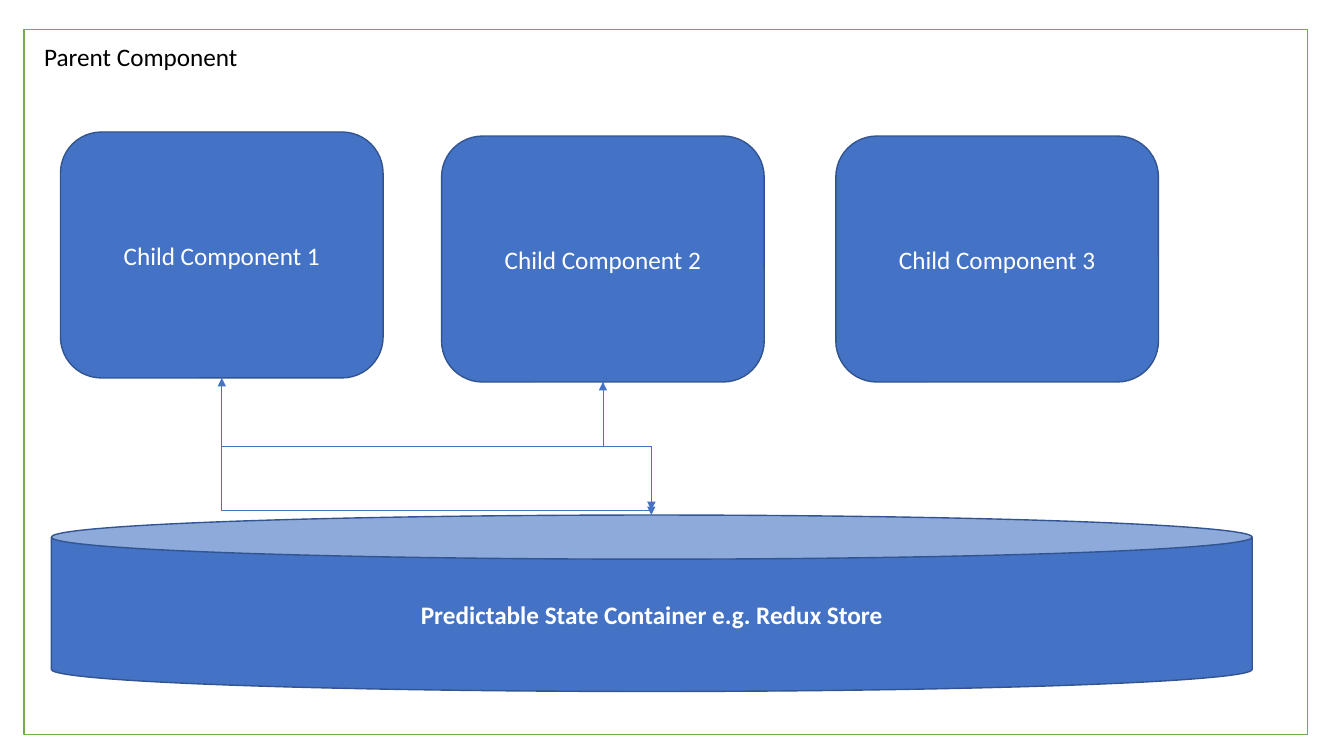
from pptx import Presentation
from pptx.dml.color import RGBColor as Color
from pptx.enum.shapes import MSO_CONNECTOR as Link, MSO_SHAPE as Shape
from pptx.enum.text import MSO_ANCHOR as Anchor, MSO_AUTO_SIZE as Fit, PP_ALIGN as Align
from pptx.oxml.ns import qn
from pptx.oxml.xmlchemy import OxmlElement as Element
from pptx.util import Inches, Pt

COLORS = {"white": "FFFFFF", "black": "000000", "blue": "4472C4",
          "navy": "325491", "green": "70AD47"}
FONT = {"name": "Calibri", "size": Pt(18)}

deck = Presentation()
deck.slide_width, deck.slide_height = Inches(13.33), Inches(7.5)
page = deck.slides.add_slide(deck.slide_layouts[6])
cell = deck.slide_width // 1333  # grid of 1333 columns by 750 rows


def write(box, text, color, align, anchor, bold=False):
    frame = box.text_frame
    for name, value in {"word_wrap": True, "vertical_anchor": anchor}.items():
        setattr(frame, name, value)
    para = frame.paragraphs[0]
    para.alignment = align
    span = para.add_run()
    span.text = text
    for name, value in {**FONT, "bold": bold}.items():
        setattr(span.font, name, value)
    span.font.color.rgb = Color.from_string(COLORS[color])


def draw(kind, grid, fill, line):
    box = page.shapes.add_shape(kind, *(cell * step for step in grid))
    box.shadow.inherit = False
    box.fill.solid()
    box.fill.fore_color.rgb = Color.from_string(COLORS[fill])
    box.line.color.rgb = Color.from_string(COLORS[line])
    box.line.width = Pt(1)
    return box


# Parent frame and its title
draw(Shape.RECTANGLE, (24, 29, 1273, 700), "white", "green")
title = page.shapes.add_textbox(*(cell * step for step in (34, 36, 276, 40)))
write(title, "Parent Component", "black", Align.LEFT, Anchor.TOP)
title.text_frame.auto_size = Fit.SHAPE_TO_FIT_TEXT

# Child components
for number, (column, row) in enumerate([(60, 131), (438, 135), (829, 135)], 1):
    child = draw(Shape.ROUNDED_RECTANGLE, (column, row, 320, 244), "blue", "navy")
    write(child, f"Child Component {number}", "white", Align.CENTER, Anchor.MIDDLE)

# State store
store = draw(Shape.CAN, (51, 511, 1191, 175), "blue", "navy")
write(store, "Predictable State Container e.g. Redux Store", "white",
      Align.CENTER, Anchor.MIDDLE, bold=True)

# Elbow arrows between children and store: start, end, preset, turn, flip
arrows = [
    ((220, 375), (646, 511), "bentConnector3", 270, "h"),
    ((646, 506), (220, 375), "bentConnector2", 180, ""),
    ((598, 379), (646, 506), "bentConnector3", 270, "h"),
    ((646, 506), (598, 379), "bentConnector3", 270, "v"),
]
for (x1, y1), (x2, y2), preset, turn, flip in arrows:
    across, down = abs(x2 - x1), abs(y2 - y1)
    if turn == 270:  # a quarter turn swaps the sides of the frame
        across, down = down, across
    left, right = (x1 + x2 - across) / 2, (x1 + x2 + across) / 2
    top, bottom = (y1 + y2 - down) / 2, (y1 + y2 + down) / 2
    if flip == "h":
        left, right = right, left
    if flip == "v":
        top, bottom = bottom, top
    arrow = page.shapes.add_connector(
        Link.ELBOW, *(int(cell * step) for step in (left, top, right, bottom)))
    arrow.line.color.rgb = Color.from_string(COLORS["blue"])
    arrow.line.width = Pt(0.5)
    props = arrow._element.spPr
    props.find(qn("a:xfrm")).set("rot", str(turn * 60000))
    props.find(qn("a:prstGeom")).set("prst", preset)
    head = Element("a:tailEnd")
    head.set("type", "triangle")
    props.find(qn("a:ln")).append(head)
    props.append(Element("a:effectLst"))

deck.save("out.pptx")
